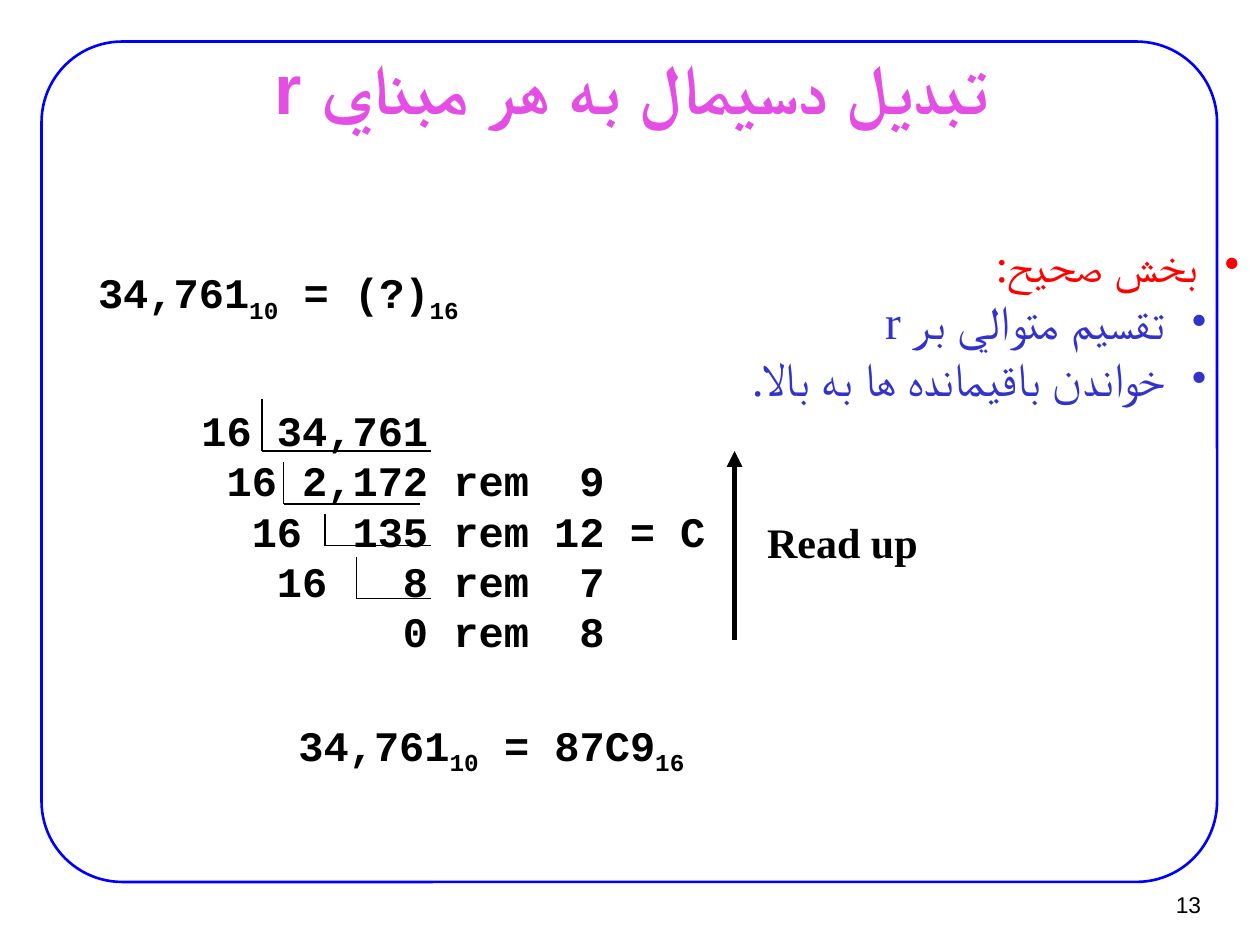
from lxml.etree import SubElement
from pptx import Presentation
from pptx.dml.color import RGBColor
from pptx.enum.shapes import MSO_CONNECTOR, MSO_SHAPE
from pptx.enum.text import MSO_ANCHOR, MSO_AUTO_SIZE, PP_ALIGN
from pptx.oxml.ns import qn
from pptx.util import Inches, Pt

COLORS = {"frame": "0000FF", "title": "E44EE4", "heading": "FF0000",
          "point": "3333CC", "ink": "000000"}
CODE = {"name": "Courier New", "size": Pt(24), "bold": True}
LABEL = {"name": "Times New Roman", "size": Pt(24), "bold": True}
BULLET = {"name": "Times New Roman", "size": Pt(27)}
TITLE = {"name": "Arial", "size": Pt(40), "bold": True}
NUMBER = {"name": "Arial", "size": Pt(13)}
CHARACTER = 0.2
BULLET_HANG = 0.24

DIVISION_ROWS = [
    ("16", "34,761"),
    ("16", "2,172", "rem", "9"),
    ("16", "135", "rem", "12 = C"),
    ("16", "8", "rem", "7"),
    ("", "0", "rem", "8"),
]
BRACKETS = [
    (2.08, 3.17, 3.42, 3.58),
    (2.25, 3.67, 3.33, 4),
    (2.58, 4.08, 3.42, 4.33),
    (2.83, 4.42, 3.42, 4.75),
]
POINTS = [
    (" بخش صحيح:", "heading", BULLET_HANG),
    (" تقسيم متوالي بر r", "point", 0.5),
    (" خواندن باقيمانده ها به بالا.", "point", 0.5),
]


def rgb(color):
    return RGBColor.from_string(COLORS[color])


def add_run(paragraph, text, style, color="ink", baseline=0):
    run = paragraph.add_run()
    run.text = text
    for attribute, value in style.items():
        setattr(run.font, attribute, value)
    run.font.color.rgb = rgb(color)
    SubElement(run.font._element, qn("a:cs"), typeface=style["name"])
    if baseline:
        run.font._element.set("baseline", str(baseline * 1000))


def add_text_frame(shapes, left, top, width, height):
    box = shapes.add_textbox(Inches(left), Inches(top), Inches(width), Inches(height))
    box.text_frame.word_wrap = True
    return box.text_frame


def add_paragraph(frame, index):
    return frame.add_paragraph() if index else frame.paragraphs[0]


def add_frame(slide):
    shape = slide.shapes.add_shape(MSO_SHAPE.ROUNDED_RECTANGLE, Inches(0.33),
                                   Inches(0.33), Inches(9.33), Inches(6.67))
    shape.adjustments[0] = 0.096
    shape.shadow.inherit = False
    shape.fill.background()
    shape.line.color.rgb = rgb("frame")
    shape.line.width = Pt(1.5)


def add_title(slide, text):
    title = slide.shapes.title
    title.left, title.top = Inches(0.76), Inches(0.44)
    title.width, title.height = Inches(8.5), Inches(0.49)
    frame = title.text_frame
    frame.auto_size = MSO_AUTO_SIZE.NONE
    frame.vertical_anchor = MSO_ANCHOR.MIDDLE
    paragraph = frame.paragraphs[0]
    paragraph.alignment = PP_ALIGN.CENTER
    paragraph._p.get_or_add_pPr().set("rtl", "1")
    add_run(paragraph, text, TITLE, "title")


def add_bullets(slide):
    frame = add_text_frame(slide.shapes, 4.9, 1.82, 5.04, 1.45)
    for index, (text, color, indent) in enumerate(POINTS):
        paragraph = add_paragraph(frame, index)
        paragraph.alignment = PP_ALIGN.RIGHT
        properties = paragraph._p.get_or_add_pPr()
        for name, value in {"rtl": 1, "marL": Inches(indent), "marR": 0,
                            "indent": -Inches(BULLET_HANG)}.items():
            properties.set(name, str(value))
        bullet_color = SubElement(properties, qn("a:buClr"))
        SubElement(bullet_color, qn("a:srgbClr"), val=COLORS[color])
        SubElement(properties, qn("a:buFont"), typeface=BULLET["name"])
        SubElement(properties, qn("a:buChar"), char="•")
        add_run(paragraph, text, BULLET, color)


def add_division(slide):
    frame = add_text_frame(slide.shapes, 1.5, 3.16, 4.4, 2.5)
    for index, (divisor, *cells) in enumerate(DIVISION_ROWS):
        paragraph = add_paragraph(frame, index)
        stops = [(9, "r"), (10, "l"), (14 if len(cells[-1]) > 1 else 15, "l")]
        if divisor:
            stops.insert(0, (2 + index, "r"))
            cells.insert(0, divisor)
        tabs = SubElement(paragraph._p.get_or_add_pPr(), qn("a:tabLst"))
        for column, alignment in stops:
            SubElement(tabs, qn("a:tab"), pos=str(Inches(column * CHARACTER)),
                       algn=alignment)
        add_run(paragraph, "\t" + "\t".join(cells), CODE)


def add_line(shapes, start, end, width=0.75, arrow=False):
    points = [Inches(value) for value in (*start, *end)]
    connector = shapes.add_connector(MSO_CONNECTOR.STRAIGHT, *points)
    connector.line.color.rgb = rgb("ink")
    connector.line.width = Pt(width)
    if arrow:
        SubElement(connector.line._get_or_add_ln(), qn("a:tailEnd"), type="triangle")
    SubElement(connector._element.spPr, qn("a:effectLst"))


def add_bracket(slide, left, top, right, bottom):
    add_line(slide.shapes, (left, top), (left, bottom))
    add_line(slide.shapes, (left, bottom), (right, bottom))


def add_read_up(slide):
    group = slide.shapes.add_group_shape()
    add_line(group.shapes, (5.83, 5.08), (5.83, 3.58), 3, arrow=True)
    frame = add_text_frame(group.shapes, 5.99, 4.05, 1.5, 0.5)
    add_run(frame.paragraphs[0], "Read up", LABEL)


def add_equation(slide, left, top, width, result):
    paragraph = add_text_frame(slide.shapes, left, top, width, 0.56).paragraphs[0]
    for text, base in (("34,761", "10"), (f" = {result}", "16")):
        add_run(paragraph, text, CODE)
        add_run(paragraph, base, CODE, baseline=-25)


def add_slide_number(slide, number):
    frame = add_text_frame(slide.shapes, 9.02, 6.99, 0.61, 0.37)
    frame.vertical_anchor = MSO_ANCHOR.MIDDLE
    frame.paragraphs[0].alignment = PP_ALIGN.RIGHT
    add_run(frame.paragraphs[0], number, NUMBER)


def main():
    presentation = Presentation()
    presentation.slide_width, presentation.slide_height = Inches(10), Inches(7.5)
    slide = presentation.slides.add_slide(presentation.slide_layouts[5])
    add_frame(slide)
    add_slide_number(slide, "13")
    add_title(slide, "تبديل دسيمال به هر مبناي r")
    add_bullets(slide)
    add_division(slide)
    for bracket in BRACKETS:
        add_bracket(slide, *bracket)
    add_read_up(slide)
    add_equation(slide, 2.27, 5.66, 3.4, "87C9")
    add_equation(slide, 0.68, 2.07, 3.2, "(?)")
    presentation.save("out.pptx")


if __name__ == "__main__":
    main()
